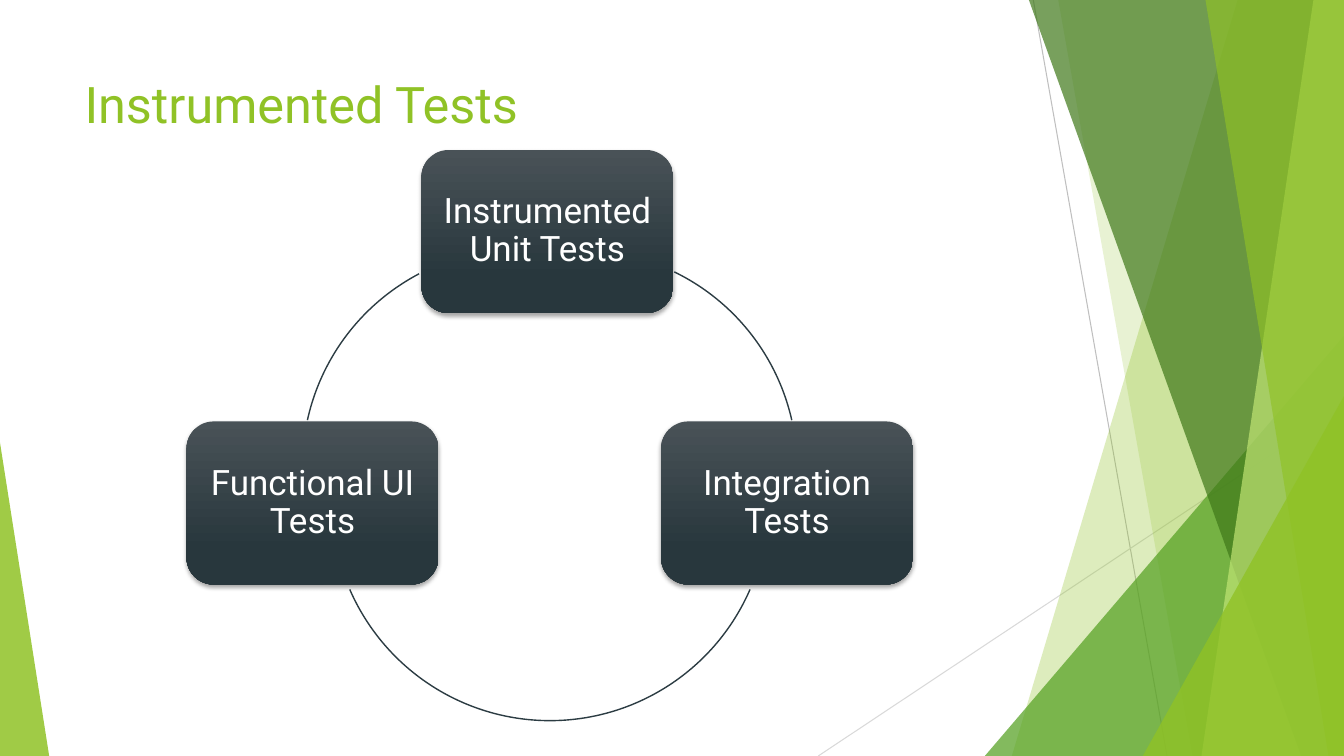
from dataclasses import dataclass
from lxml import etree
from pptx import Presentation
from pptx.dml.color import RGBColor
from pptx.enum.shapes import MSO_CONNECTOR, MSO_SHAPE
from pptx.enum.text import MSO_ANCHOR, MSO_AUTO_SIZE, PP_ALIGN
from pptx.oxml.ns import qn
from pptx.util import Cm, Pt

STRAIGHT = MSO_CONNECTOR.STRAIGHT
ARC, ROUND, WEDGE = MSO_SHAPE.ARC, MSO_SHAPE.ROUNDED_RECTANGLE, MSO_SHAPE.ISOSCELES_TRIANGLE
TOP, MIDDLE = MSO_ANCHOR.TOP, MSO_ANCHOR.MIDDLE
LEFT, CENTER = PP_ALIGN.LEFT, PP_ALIGN.CENTER
NO_FIT = MSO_AUTO_SIZE.NONE

WIDE, HIGH = 33.87, 19.05
CARD_W, CARD_H, RADIUS = 6.35, 4.11, 5.5
FONT = "Roboto"
COLORS = {
    "lime": "90C226", "green": "54A021", "forest": "3F7819", "pale": "C0E474",
    "gray": "BFBFBF", "light": "D9D9D9", "slate": "495257", "dark": "28373D",
    "ring": "2C3C43", "white": "FFFFFF", "black": "000000",
}


@dataclass
class Ray:
    x1: float
    y1: float
    x2: float
    color: str


@dataclass
class Band:
    top: float
    foot: float
    color: str
    alpha: int


@dataclass
class Corner:
    x: float
    y: float
    width: float
    peak: int
    color: str
    alpha: int


@dataclass
class Card:
    x: float
    y: float
    text: str


@dataclass
class Bow:
    x: float
    y: float
    start: float
    end: float


RAYS = [Ray(26.04, 0, 29.41, "gray"), Ray(WIDE, 10.24, 20.62, "light")]
FACETS = [
    Band(31.19, 25.5, "lime", 30),
    Band(26.67, 30.05, "lime", 20),
    Corner(24.82, 8.46, WIDE - 24.82, 1, "green", 72),
    Band(25.93, 32.79, "forest", 70),
    Band(33.1, 30.28, "pale", 70),
    Band(30.38, 33.48, "lime", 65),
    Corner(28.8, 9.98, WIDE - 28.8, 1, "lime", 80),
    Corner(0, 11.15, 1.24, 0, "lime", 85),
]
CARDS = [
    Card(10.62, 3.78, "Instrumented Unit Tests"),
    Card(16.66, 10.62, "Integration Tests"),
    Card(4.7, 10.62, "Functional UI Tests"),
]
BOWS = [
    Bow(9.09, 6.3, 295.9, 347.3),
    Bow(8.36, 7.16, 23.5, 156.5),
    Bow(7.62, 6.27, 192.4, 242.3),
]


def tint(name: str) -> RGBColor:
    return RGBColor.from_string(COLORS[name])


def write(shape, text: str, *, size: int, color: str, align=LEFT, anchor=TOP,
          inset: float = 0.25, spacing: float = 1.0) -> None:
    frame = shape.text_frame
    frame.word_wrap, frame.auto_size = True, NO_FIT
    frame.vertical_anchor = anchor
    frame.margin_left = frame.margin_right = Cm(inset)
    frame.margin_top = frame.margin_bottom = Cm(0.13)
    para = frame.paragraphs[0]
    para.alignment, para.line_spacing = align, spacing
    run = para.add_run()
    run.text = text
    run.font.name, run.font.size = FONT, Pt(size)
    run.font.color.rgb = tint(color)


def glaze(shape, color: str, alpha: int) -> None:
    """Fill a borderless shape with a see-through colour."""
    shape.shadow.inherit = False
    shape.line.fill.background()
    shape.fill.solid()
    shape.fill.fore_color.rgb = tint(color)
    node = shape.fill._xPr.find(qn("a:solidFill"))[0]
    etree.SubElement(node, qn("a:alpha"), val=str(alpha * 1000))


def draw_ray(shapes, ray: Ray) -> None:
    line = shapes.add_connector(STRAIGHT, Cm(ray.x1), Cm(ray.y1), Cm(ray.x2), Cm(HIGH))
    line.line.color.rgb = tint(ray.color)
    line.line.width = Pt(0.75)
    etree.SubElement(line._element.spPr, qn("a:effectLst"))


def draw_band(shapes, band: Band) -> None:
    """Draw a slanted edge filled out to the right side of the slide."""
    pen = shapes.build_freeform(Cm(band.top), 0)
    pen.add_line_segments([(Cm(x), Cm(y)) for x, y in
                           ((WIDE, 0), (WIDE, HIGH), (band.foot, HIGH))])
    glaze(pen.convert_to_shape(), band.color, band.alpha)


def draw_corner(shapes, item: Corner) -> None:
    shape = shapes.add_shape(WEDGE, Cm(item.x), Cm(item.y), Cm(item.width), Cm(HIGH - item.y))
    shape.adjustments[0] = item.peak
    glaze(shape, item.color, item.alpha)


def cast_shadow(shape) -> None:
    shape.shadow.inherit = False
    effects = shape._element.spPr.find(qn("a:effectLst"))
    outer = etree.SubElement(effects, qn("a:outerShdw"), blurRad=str(Pt(3)),
                             dist=str(Pt(2)), dir="5400000", rotWithShape="0")
    color = etree.SubElement(outer, qn("a:srgbClr"), val=COLORS["black"])
    etree.SubElement(color, qn("a:alpha"), val="35000")


def draw_card(shapes, card: Card) -> None:
    shape = shapes.add_shape(ROUND, Cm(card.x), Cm(card.y), Cm(CARD_W), Cm(CARD_H))
    shape.line.fill.background()
    shape.fill.gradient()
    shape.fill.gradient_angle = 270
    for stop, place, name in zip(shape.fill.gradient_stops, (0, 0.78), ("slate", "dark")):
        stop.position = place
        stop.color.rgb = tint(name)
    cast_shadow(shape)
    write(shape, card.text, size=25, color="white", align=CENTER, anchor=MIDDLE, spacing=0.9)


def draw_bow(shapes, bow: Bow) -> None:
    """Draw a clockwise arc; adjustments hold degrees times 0.6."""
    shape = shapes.add_shape(ARC, Cm(bow.x), Cm(bow.y), Cm(2 * RADIUS), Cm(2 * RADIUS))
    shape.adjustments[0] = bow.start * 0.6
    shape.adjustments[1] = bow.end * 0.6
    shape.shadow.inherit = False
    shape.fill.background()
    shape.line.color.rgb = tint("ring")
    shape.line.width = Pt(1)


def main() -> None:
    deck = Presentation()
    deck.slide_width, deck.slide_height = Cm(WIDE), Cm(HIGH)
    shapes = deck.slides.add_slide(deck.slide_layouts[5]).shapes
    for ray in RAYS:
        draw_ray(shapes, ray)
    for facet in FACETS:
        if isinstance(facet, Band):
            draw_band(shapes, facet)
        else:
            draw_corner(shapes, facet)
    for card in CARDS:
        draw_card(shapes, card)
    for bow in BOWS:
        draw_bow(shapes, bow)
    title = shapes.title
    title.left, title.top, title.width, title.height = Cm(1.88), Cm(1.7), Cm(23.88), Cm(2.06)
    write(title, "Instrumented Tests", size=36, color="lime")
    deck.save("out.pptx")


if __name__ == "__main__":
    main()
